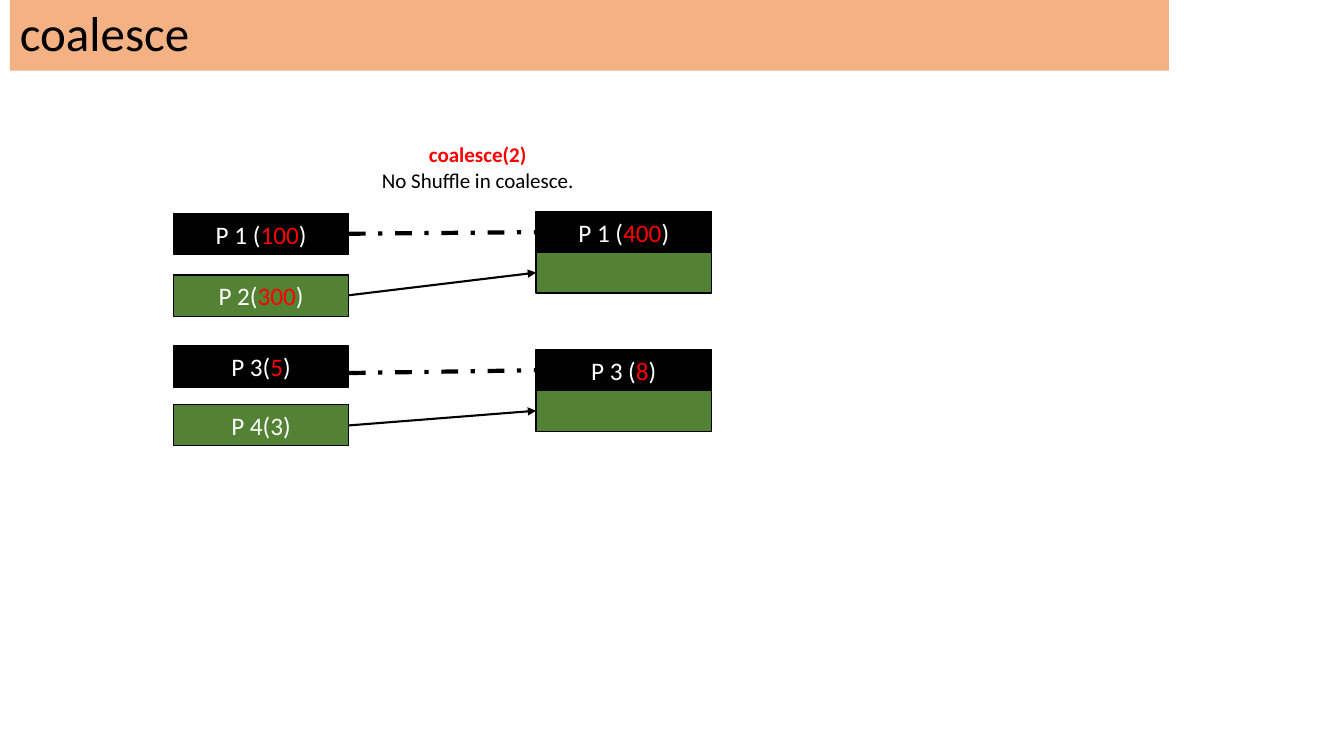
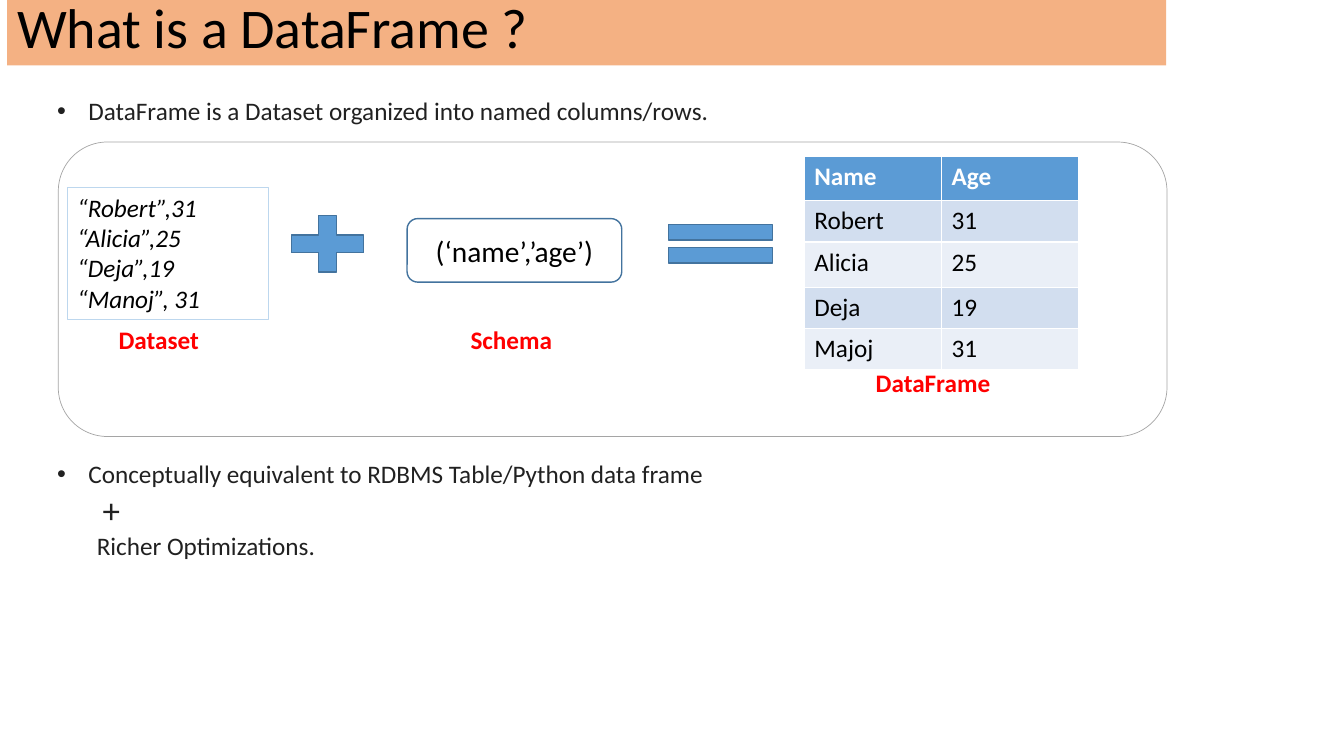
"""Build two slides: coalesce on partitions, and what a DataFrame is."""
from lxml.etree import SubElement
from pptx import Presentation
from pptx.dml.color import RGBColor
from pptx.enum.dml import MSO_LINE
from pptx.enum.shapes import MSO_CONNECTOR, MSO_SHAPE
from pptx.enum.text import MSO_ANCHOR, PP_ALIGN
from pptx.oxml.ns import qn
from pptx.util import Cm, Pt

BLACK, WHITE, RED, INK = "000000", "FFFFFF", "FF0000", "212121"
GREEN, PEACH, BLUE, NAVY = "548235", "F4B183", "5B9BD5", "43739E"
PALE, GREY, BANDS = "BDD7EE", "A5A5A5", ("EAEFF7", "D2DEEF")
FONT = "Calibri"

# Runs at odd places in a tuple are the red counts.
PARTS = [
    (("P 1 (", "100", ")"), 5.38, 5.89, BLACK),
    (("P 2(", "300", ")"), 6.93, 7.44, GREEN),
    (("P 3(", "5", ")"), 8.71, 9.4, BLACK),
    (("P 4(3)",), 10.19, 10.72, GREEN),
]
MERGED = [(("P 1 (", "400", ")"), 5.33), (("P 3 (", "8", ")"), 8.81)]
LEFT, RIGHT, WIDE, HIGH, STEP = 4.37, 13.51, 4.42, 1.04, 1.02

DATA = ["“Robert”,31", "“Alicia”,25", "“Deja”,19", "“Manoj”, 31"]
TABLE = [("Name", "Age"), ("Robert", "31"), ("Alicia", "25"),
         ("Deja", "19"), ("Majoj", "31")]
ROWS = [1.12, 1.04, 1.14, 1.04, 1.04]
LABELS = [("Dataset", 2.74, 8.05), ("Schema", 11.61, 8.05),
          ("DataFrame", 21.82, 9.12)]
SIGNS = [(MSO_SHAPE.MATH_PLUS, (7.01, 5.18, 2.49, 1.93)),
         (MSO_SHAPE.MATH_EQUAL, (16.38, 5.33, 3.56, 1.63))]
POINTS = [
    (2.29, [("DataFrame is a Dataset organized into named columns/rows.",
             {"bullet": True})]),
    (11.43, [("Conceptually equivalent to RDBMS Table/Python data frame",
              {"bullet": True}),
             ("+", {"size": 25, "indent": 1.15}),
             ("Richer Optimizations.", {"indent": 1})]),
]


def rgb(code):
    """Turn a hex string into a colour."""
    return RGBColor.from_string(code)


def write(frame, text, size=18, color=BLACK, bold=False, italic=False,
          align=PP_ALIGN.LEFT, indent=0, bullet=False, lead=None):
    """Add one paragraph; text is a string or a tuple of runs."""
    para = frame.paragraphs[0]
    if para.runs:
        para = frame.add_paragraph()
    para.alignment = align
    if lead:
        para.line_spacing = lead
    props = para._p.get_or_add_pPr()
    if bullet:
        props.set("marL", str(Cm(0.79)))
        props.set("indent", str(-Cm(0.79)))
        SubElement(props, qn("a:buFont")).set("typeface", "Arial")
        SubElement(props, qn("a:buChar")).set("char", "•")
    elif indent:
        props.set("marL", str(Cm(indent)))
    runs = (text,) if isinstance(text, str) else text
    for spot, part in enumerate(runs):
        run = para.add_run()
        run.text = part
        font = run.font
        font.name, font.size = FONT, Pt(size)
        font.bold, font.italic = bold, italic
        font.color.rgb = rgb(RED if spot % 2 else color)


def shape(slide, kind, at, fill=None, line=None, width=1):
    """Add a preset shape and return it."""
    item = slide.shapes.add_shape(kind, *map(Cm, at))
    item.shadow.inherit = False
    if fill:
        item.fill.solid()
        item.fill.fore_color.rgb = rgb(fill)
    else:
        item.fill.background()
    if line:
        item.line.color.rgb = rgb(line)
        item.line.width = Pt(width)
    else:
        item.line.fill.background()
    return item


def label(slide, at):
    """Add a text box and return its wrapping frame."""
    frame = slide.shapes.add_textbox(*map(Cm, at)).text_frame
    frame.word_wrap = True
    return frame


def block(slide, left, top, fill, text=None):
    """Add one partition block."""
    item = shape(slide, MSO_SHAPE.RECTANGLE, (left, top, WIDE, HIGH),
                 fill, BLACK)
    if text:
        write(item.text_frame, text, color=WHITE, align=PP_ALIGN.CENTER)


def link(slide, start, end, arrow):
    """Join two blocks with an arrow or a dashed line."""
    item = slide.shapes.add_connector(
        MSO_CONNECTOR.STRAIGHT, Cm(LEFT + WIDE), Cm(start),
        Cm(RIGHT), Cm(end))
    item.line.color.rgb = rgb(BLACK)
    item.line.width = Pt(1.5 if arrow else 3)
    if arrow:
        tail = SubElement(item.line._get_or_add_ln(), qn("a:tailEnd"))
        tail.set("type", "triangle")
    else:
        item.line.dash_style = MSO_LINE.DASH_DOT
    SubElement(item._element.spPr, qn("a:effectLst"))


def page(deck, title, left, top, size):
    """Add a blank slide with its title band."""
    slide = deck.slides.add_slide(deck.slide_layouts[6])
    band = shape(slide, MSO_SHAPE.RECTANGLE, (left, top, 29.21, 1.78), PEACH)
    band.text_frame.vertical_anchor = MSO_ANCHOR.MIDDLE
    write(band.text_frame, title, size=size, lead=0.9)
    return slide


def merge(deck):
    """Build the coalesce slide."""
    slide = page(deck, "coalesce", 0.25, 0, 35)
    note = label(slide, (9.22, 3.45, 5.64, 1.55))
    write(note, "coalesce(2)", size=15, color=RED, bold=True,
          align=PP_ALIGN.CENTER)
    write(note, "No Shuffle in coalesce.", size=15, align=PP_ALIGN.CENTER)
    for spot, (text, top, start, fill) in enumerate(PARTS):
        pair, low = divmod(spot, 2)
        name, base = MERGED[pair]
        goal = base + low * STEP
        block(slide, LEFT, top, fill, text)
        link(slide, start, goal + HIGH / 2, arrow=bool(low))
        block(slide, RIGHT, goal, fill, None if low else name)


def grid(slide):
    """Add the table of names and ages."""
    table = slide.shapes.add_table(
        len(TABLE), 2, Cm(20.27), Cm(3.94), Cm(6.92), Cm(sum(ROWS))).table
    for col in table.columns:
        col.width = Cm(3.46)
    for row, (cells, high) in enumerate(zip(TABLE, ROWS)):
        table.rows[row].height = Cm(high)
        for col, text in enumerate(cells):
            cell = table.cell(row, col)
            cell.fill.solid()
            cell.fill.fore_color.rgb = rgb(BANDS[row % 2] if row else BLUE)
            write(cell.text_frame, text, color=BLACK if row else WHITE,
                  bold=not row)


def frame(deck):
    """Build the DataFrame slide."""
    slide = page(deck, "What is a DataFrame ?", 0.18, -0.13, 40)
    for top, lines in POINTS:
        body = label(slide, (1.19, top, 22.12, 1.02 * len(lines)))
        for text, style in lines:
            write(body, text, color=INK, **style)
    shape(slide, MSO_SHAPE.ROUNDED_RECTANGLE, (1.47, 3.58, 27.94, 7.42),
          line=GREY, width=0.5)
    grid(slide)
    data = shape(slide, MSO_SHAPE.RECTANGLE, (1.7, 4.72, 5.08, 3.33),
                 line=PALE, width=0.75)
    data.text_frame.vertical_anchor = MSO_ANCHOR.TOP
    for text in DATA:
        write(data.text_frame, text, italic=True)
    for kind, at in SIGNS:
        shape(slide, kind, at, BLUE, NAVY)
    names = shape(slide, MSO_SHAPE.ROUNDED_RECTANGLE,
                  (10.26, 5.51, 5.41, 1.6), line=NAVY)
    write(names.text_frame, "(‘name’,’age’)", size=21, align=PP_ALIGN.CENTER)
    for text, left, top in LABELS:
        write(label(slide, (left, top, 4, 1.02)), text, color=RED, bold=True)


def main():
    """Build and save the deck."""
    deck = Presentation()
    deck.slide_width, deck.slide_height = Cm(33.87), Cm(19.05)
    merge(deck)
    frame(deck)
    deck.save("out.pptx")


if __name__ == "__main__":
    main()
